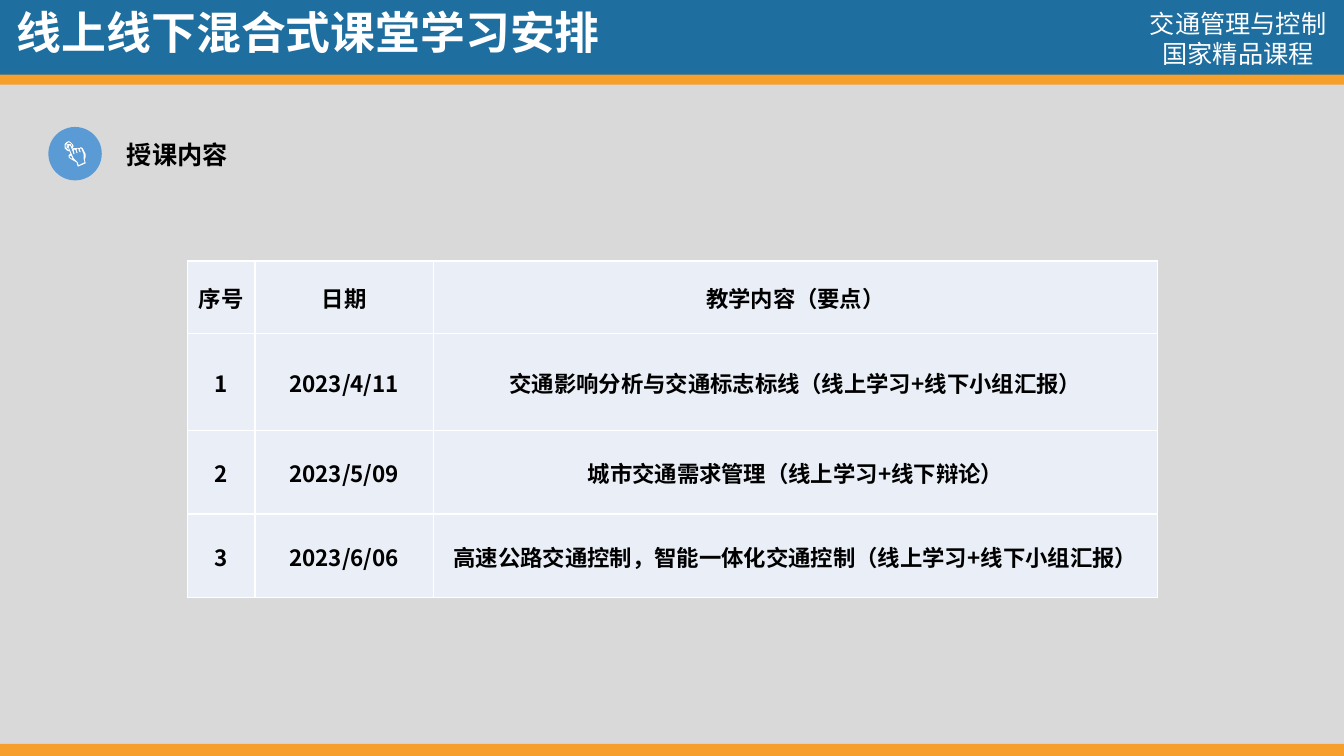
import dataclasses
import typing

import lxml.etree
import pptx
import pptx.dml.color
import pptx.enum.shapes
import pptx.enum.text
import pptx.oxml.ns
import pptx.util

Inches = pptx.util.Inches
Pt = pptx.util.Pt
RGBColor = pptx.dml.color.RGBColor
Align = pptx.enum.text.PP_ALIGN
Preset = pptx.enum.shapes.MSO_SHAPE
qn = pptx.oxml.ns.qn

FONT = "Noto Sans CJK SC"
GREY = RGBColor(0xD9, 0xD9, 0xD9)
ORANGE = RGBColor(0xF6, 0x9F, 0x2B)
NAVY = RGBColor(0x1E, 0x6E, 0x9F)
BLUE = RGBColor(0x5B, 0x9B, 0xD5)
PALE = RGBColor(0xEA, 0xEF, 0xF7)
WHITE = RGBColor(0xFF, 0xFF, 0xFF)
BLACK = RGBColor(0, 0, 0)


@dataclasses.dataclass(frozen=True)
class Band:
    top: float
    height: float
    color: RGBColor


@dataclasses.dataclass(frozen=True)
class Label:
    left: float
    top: float
    width: float
    height: float
    lines: tuple[str, ...]
    size: int
    color: RGBColor
    bold: bool = True
    align: Align = Align.LEFT
    wrap: bool = True


BANDS = (
    Band(-0.05, 0.89, ORANGE),
    Band(-0.16, 0.9, NAVY),
    Band(7.38, 1.06, ORANGE),
)
LABELS = (
    Label(11.14, 0.03, 2.28, 0.71, ("交通管理与控制", "国家精品课程"), 18, WHITE,
          bold=False, align=Align.CENTER),
    Label(0.07, 0, 6.04, 0.64, ("线上线下混合式课堂学习安排",), 32, WHITE, wrap=False),
    Label(1.16, 1.33, 1.61, 0.4, ("授课内容",), 18, BLACK),
)
COLUMN_WIDTHS = (0.67, 1.77, 7.18)
ROW_HEIGHTS = (0.72, 0.96, 0.83, 0.83)
SCHEDULE = (
    ("序号", "日期", "教学内容（要点）"),
    ("1", "2023/4/11", "交通影响分析与交通标志标线（线上学习+线下小组汇报）"),
    ("2", "2023/5/09", "城市交通需求管理（线上学习+线下辩论）"),
    ("3", "2023/6/06", "高速公路交通控制，智能一体化交通控制（线上学习+线下小组汇报）"),
)
HAND_CONTOURS = (
    ((70, 154), (69, 155), (69, 156), (72, 158), (71, 155), (70, 155)),
    ((69, 144), (68, 146), (73, 157), (77, 161), (78, 164), (84, 161), (83, 158),
     (83, 153), (81, 148), (80, 147), (79, 148), (80, 151), (79, 151), (78, 149),
     (78, 148), (77, 147), (76, 148), (76, 149), (77, 152), (76, 152), (75, 149),
     (74, 148), (73, 149), (74, 153), (73, 153), (72, 150), (70, 145)),
    ((68, 144), (67, 144), (67, 146)),
    ((67, 142), (65, 144), (65, 146), (67, 148), (68, 149), (68, 147), (67, 147),
     (66, 146), (66, 144), (67, 143), (69, 143), (70, 143), (71, 145), (72, 146),
     (71, 143), (70, 142), (68, 141)),
    ((68, 140), (70, 141), (72, 143), (73, 145), (72, 147), (72, 148), (73, 147),
     (75, 147), (76, 147), (79, 147), (80, 146), (82, 147), (85, 153), (85, 156),
     (84, 158), (85, 162), (78, 165), (77, 165), (76, 161), (74, 160), (69, 157),
     (68, 156), (68, 154), (69, 153), (70, 153), (69, 150), (68, 150), (66, 149),
     (64, 147), (64, 143), (66, 141)),
)


def paint(shape: typing.Any, color: RGBColor) -> None:
    shape.shadow.inherit = False
    shape.fill.solid()
    shape.fill.fore_color.rgb = color
    shape.line.fill.background()


def add_span(para: typing.Any, text: str, size: int, color: RGBColor, bold: bool) -> None:
    span = para.add_run()
    span.text = text
    span.font.size = Pt(size)
    span.font.bold = bold
    span.font.color.rgb = color
    span.font.name = FONT
    properties = span.font._element
    lxml.etree.SubElement(properties, qn("a:ea")).set("typeface", FONT)


def draw_band(page: typing.Any, band: Band) -> None:
    shape = page.shapes.add_shape(
        Preset.RECTANGLE, Inches(-0.24), Inches(band.top), Inches(13.72), Inches(band.height))
    paint(shape, band.color)


def draw_label(page: typing.Any, label: Label) -> None:
    box = page.shapes.add_textbox(
        Inches(label.left), Inches(label.top), Inches(label.width), Inches(label.height))
    frame = box.text_frame
    frame.word_wrap = label.wrap
    frame.auto_size = pptx.enum.text.MSO_AUTO_SIZE.SHAPE_TO_FIT_TEXT
    for index, line in enumerate(label.lines):
        para = frame.add_paragraph() if index else frame.paragraphs[0]
        para.alignment = label.align
        add_span(para, line, label.size, label.color, label.bold)


def draw_hand_icon(page: typing.Any) -> None:
    group = page.shapes.add_group_shape()
    disc = group.shapes.add_shape(
        Preset.OVAL, Inches(0.48), Inches(1.26), Inches(0.53), Inches(0.53))
    paint(disc, BLUE)
    first, *others = HAND_CONTOURS
    builder = group.shapes.build_freeform(*first[0], scale=Inches(0.01))
    builder.add_line_segments(first[1:], close=True)
    for contour in others:
        builder.move_to(*contour[0])
        builder.add_line_segments(contour[1:], close=True)
    paint(builder.convert_to_shape(), WHITE)


def style_cell(cell: typing.Any) -> None:
    properties = cell._tc.get_or_add_tcPr()
    for side in ("lnL", "lnR", "lnT", "lnB"):
        border = lxml.etree.SubElement(properties, qn(f"a:{side}"), w=str(Pt(1)))
        fill = lxml.etree.SubElement(border, qn("a:solidFill"))
        lxml.etree.SubElement(fill, qn("a:srgbClr"), val=str(WHITE))
    cell.fill.solid()
    cell.fill.fore_color.rgb = PALE
    cell.vertical_anchor = pptx.enum.text.MSO_ANCHOR.MIDDLE
    cell.margin_left = cell.margin_top = cell.margin_right = Inches(0.01)
    cell.margin_bottom = 0


def draw_schedule(page: typing.Any) -> None:
    table = page.shapes.add_table(
        len(ROW_HEIGHTS), len(COLUMN_WIDTHS), Inches(1.86), Inches(2.59),
        Inches(sum(COLUMN_WIDTHS)), Inches(sum(ROW_HEIGHTS))).table
    table.first_row = False
    table.horz_banding = False
    for column, width in zip(table.columns, COLUMN_WIDTHS):
        column.width = Inches(width)
    for row, height, texts in zip(table.rows, ROW_HEIGHTS, SCHEDULE):
        row.height = Inches(height)
        for cell, text in zip(row.cells, texts):
            style_cell(cell)
            para = cell.text_frame.paragraphs[0]
            para.alignment = Align.CENTER
            add_span(para, text, 16, BLACK, True)


def main() -> None:
    deck = pptx.Presentation()
    deck.slide_width = Inches(13.33)
    deck.slide_height = Inches(7.5)
    page = deck.slides.add_slide(deck.slide_layouts[6])
    page.background.fill.solid()
    page.background.fill.fore_color.rgb = GREY
    for band in BANDS:
        draw_band(page, band)
    for label in LABELS:
        draw_label(page, label)
    draw_hand_icon(page)
    draw_schedule(page)
    deck.save("out.pptx")


if __name__ == "__main__":
    main()
